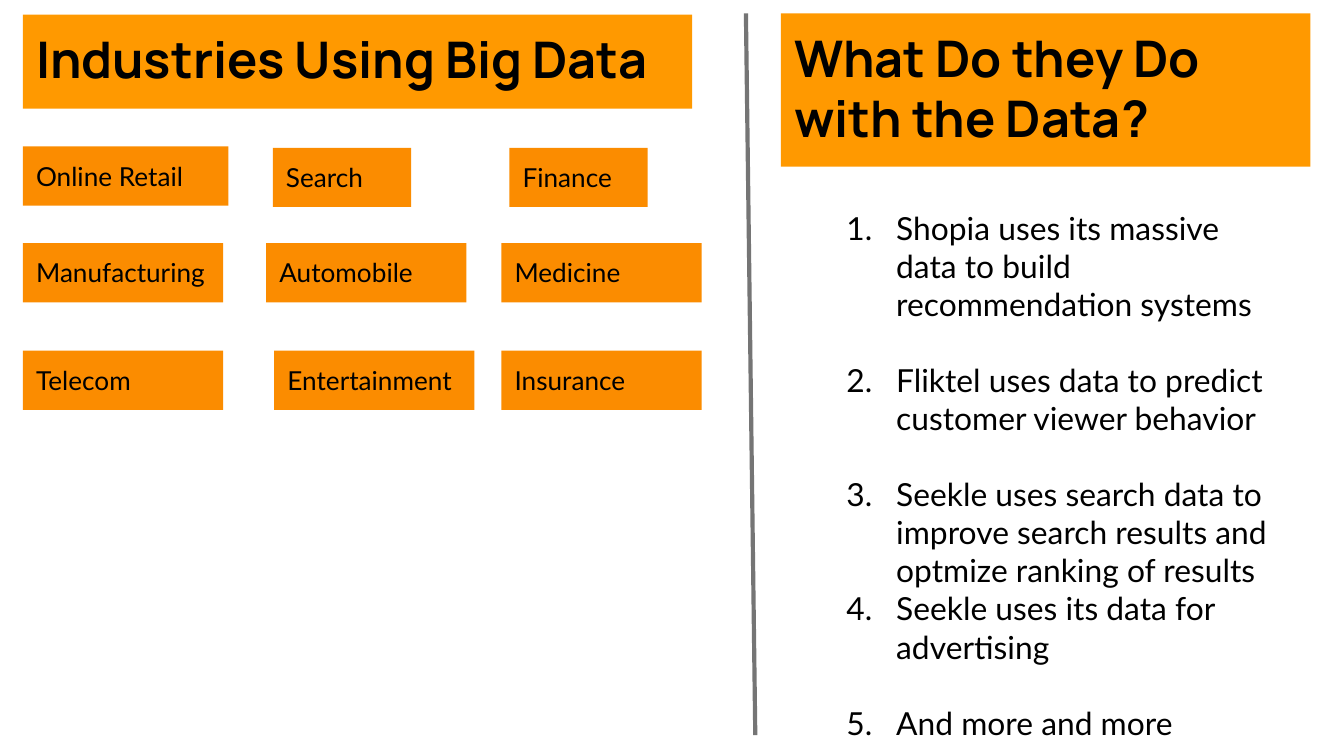
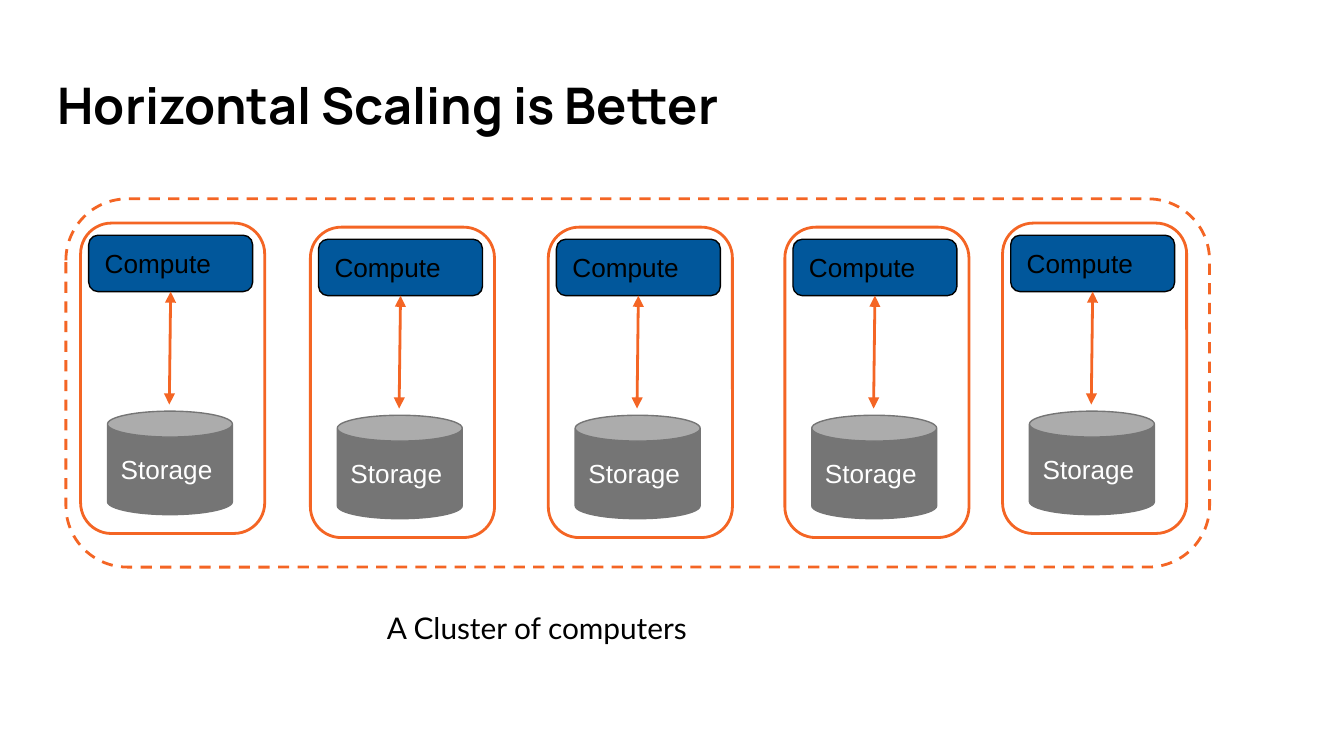
from dataclasses import dataclass

from lxml.etree import SubElement
from pptx import Presentation
from pptx.dml.color import RGBColor
from pptx.enum.dml import MSO_LINE
from pptx.enum.shapes import MSO_CONNECTOR, MSO_SHAPE
from pptx.enum.text import MSO_ANCHOR, PP_ALIGN
from pptx.oxml.ns import qn
from pptx.util import Inches, Pt


@dataclass(frozen=True)
class Theme:
    """Colours, fonts and type sizes of the deck."""
    band: str = "FF9900"
    chip: str = "FB8C00"
    grey: str = "757575"
    blue: str = "01579B"
    edge: str = "F46524"
    ink: str = "000000"
    paper: str = "FFFFFF"
    head: str = "Manrope"
    body: str = "Lato"
    plain: str = "Arial"
    title: float = 27
    list: float = 17
    note: float = 16
    label: float = 14


THEME = Theme()

CHIPS = [
    ("Online Retail", 0, 0, 1.53),
    ("Search", 1.86, 0.01, 1.03),
    ("Finance", 3.62, 0.01, 1.03),
    ("Manufacturing", 0, 0.72, 1.49),
    ("Automobile", 1.81, 0.72, 1.49),
    ("Medicine", 3.56, 0.72, 1.49),
    ("Telecom", 0, 1.52, 1.49),
    ("Entertainment", 1.87, 1.52, 1.49),
    ("Insurance", 3.56, 1.52, 1.49),
]

USES = [
    ("Shopia uses its massive data to build recommendation systems", True),
    ("Fliktel uses data to predict customer viewer behavior", True),
    ("Seekle uses search data to improve search results and "
     "optmize ranking of results", False),
    ("Seekle uses its data for advertising", True),
    ("And more and more", False),
]

NODES = [(0.6, 1.66), (2.31, 1.69), (4.08, 1.69), (5.84, 1.69), (7.46, 1.66)]


def rgb(code):
    """Turn a hex code into a colour."""
    return RGBColor.from_string(code)


def write(shape, text, size=THEME.label, font=THEME.body, color=THEME.ink,
          bold=False, anchor=MSO_ANCHOR.TOP):
    """Put text into a shape, one paragraph for each line."""
    frame = shape.text_frame
    frame.word_wrap = True
    frame.vertical_anchor = anchor
    frame.margin_left = frame.margin_right = Inches(0.1)
    frame.margin_top = frame.margin_bottom = Inches(0.1)
    frame.text = text
    for para in frame.paragraphs:
        para.alignment = PP_ALIGN.LEFT
        face = para.runs[0].font
        face.name, face.size, face.bold = font, Pt(size), bold
        face.color.rgb = rgb(color)
    return frame


def draw(slide, kind, box, fill=None, line=None, width=0.75, dash=None, adj=None):
    """Add a preset shape with its fill and outline."""
    shape = slide.shapes.add_shape(kind, *map(Inches, box))
    shape.shadow.inherit = False
    if fill:
        shape.fill.solid()
        shape.fill.fore_color.rgb = rgb(fill)
    else:
        shape.fill.background()
    if line:
        shape.line.color.rgb = rgb(line)
        shape.line.width = Pt(width)
        shape.line.dash_style = dash
    else:
        shape.line.fill.background()
    if adj is not None:
        shape.adjustments[0] = adj
    return shape


def link(slide, start, end, color, width, heads=False):
    """Add a straight line, with arrowheads at both ends if asked."""
    wire = slide.shapes.add_connector(
        MSO_CONNECTOR.STRAIGHT, *map(Inches, (*start, *end)))
    wire.line.color.rgb = rgb(color)
    wire.line.width = Pt(width)
    props = wire._element.spPr
    if heads:
        for tag in ("a:headEnd", "a:tailEnd"):
            SubElement(props.find(qn("a:ln")), qn(tag), type="triangle")
    SubElement(props, qn("a:effectLst"))
    return wire


def title(slide, box, text, fill=None):
    """Add a heading, on a coloured band if a fill is given."""
    if fill:
        shape = draw(slide, MSO_SHAPE.RECTANGLE, box, fill=fill)
    else:
        shape = slide.shapes.add_textbox(*map(Inches, box))
    write(shape, text, size=THEME.title, font=THEME.head, bold=True)


def chips(slide, left, top):
    """Place the industry labels relative to a corner."""
    for name, right, down, width in CHIPS:
        box = (left + right, top + down, width, 0.44)
        write(draw(slide, MSO_SHAPE.RECTANGLE, box, fill=THEME.chip), name)


def uses(slide, box):
    """Add the numbered list of data uses."""
    shape = slide.shapes.add_textbox(*map(Inches, box))
    frame = write(shape, "\n".join(text for text, _ in USES), size=THEME.list)
    for para, (_, gap) in zip(frame.paragraphs, USES):
        para.space_after = Pt(THEME.list * 1.2 if gap else 0)
        props = para._p.get_or_add_pPr()
        props.set("marL", str(Inches(0.5)))
        props.set("indent", str(Inches(-0.37)))
        tint = SubElement(props, qn("a:buClr"))
        SubElement(tint, qn("a:srgbClr"), val=THEME.ink)
        SubElement(props, qn("a:buFont"), typeface=THEME.body)
        SubElement(props, qn("a:buAutoNum"), type="arabicPeriod")


def node(slide, left, top):
    """Draw one computer: a frame with compute linked to storage."""
    draw(slide, MSO_SHAPE.ROUNDED_RECTANGLE, (left, top, 1.37, 2.31),
         line=THEME.edge, width=1.5, adj=0.167)
    store = draw(slide, MSO_SHAPE.CAN, (left + 0.2, top + 1.4, 0.93, 0.77),
                 fill=THEME.grey, line=THEME.grey, adj=0.25)
    write(store, "Storage", font=THEME.plain, color=THEME.paper,
          anchor=MSO_ANCHOR.MIDDLE)
    unit = draw(slide, MSO_SHAPE.ROUNDED_RECTANGLE,
                (left + 0.06, top + 0.09, 1.22, 0.42),
                fill=THEME.blue, line=THEME.ink, adj=0.167)
    write(unit, "Compute", font=THEME.plain, anchor=MSO_ANCHOR.MIDDLE)
    wire = link(slide, (left + 0.67, top + 0.51), (left + 0.66, top + 1.35),
                THEME.edge, 1.5, heads=True)
    wire.begin_connect(unit, 2)


def sectors(slide):
    """Build the slide on industries and their use of data."""
    title(slide, (0.17, 0.11, 4.98, 0.7), "Industries Using Big Data", THEME.band)
    chips(slide, 0.17, 1.09)
    link(slide, (5.55, 0.1), (5.62, 5.47), THEME.grey, 2.25)
    title(slide, (5.81, 0.1, 3.94, 1.14), "What Do they Do with the Data?",
          THEME.band)
    uses(slide, (6.07, 1.45, 3.56, 4.21))


def cluster(slide):
    """Build the slide on horizontal scaling."""
    title(slide, (0.33, 0.45, 9.32, 0.7), "Horizontal Scaling is Better")
    draw(slide, MSO_SHAPE.ROUNDED_RECTANGLE, (0.49, 1.48, 8.51, 2.74),
         line=THEME.edge, width=1.5, dash=MSO_LINE.DASH, adj=0.167)
    for left, top in NODES:
        node(slide, left, top)
    note = slide.shapes.add_textbox(*map(Inches, (2.78, 4.44, 3.58, 0.47)))
    write(note, "A Cluster of computers", size=THEME.note)


def main():
    """Build and save the deck."""
    deck = Presentation()
    deck.slide_width = Inches(10)
    deck.slide_height = deck.slide_width * 9 // 16
    for build in (sectors, cluster):
        build(deck.slides.add_slide(deck.slide_layouts[6]))
    deck.save("out.pptx")


if __name__ == "__main__":
    main()
